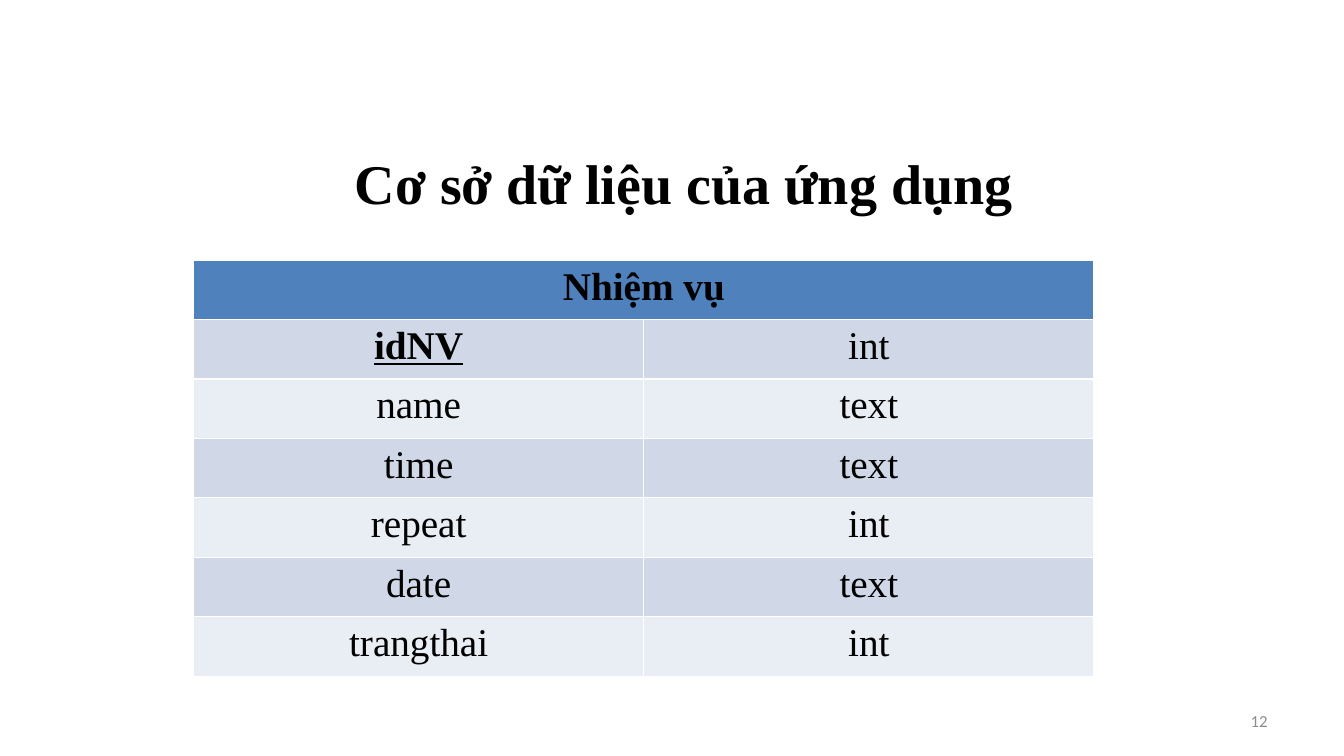
from pptx import Presentation
from pptx.dml.color import RGBColor
from pptx.enum.text import MSO_ANCHOR as Anchor, PP_ALIGN as Align
from pptx.util import Pt

PX = 9144
BLACK = RGBColor(0x00, 0x00, 0x00)
GRAY = RGBColor(0x8C, 0x8C, 0x8C)
BLUE = RGBColor(0x4F, 0x81, 0xBD)
BANDS = (RGBColor(0xD0, 0xD8, 0xE8), RGBColor(0xE9, 0xED, 0xF4))
SERIF = "Times New Roman"

TABLE_NAME = "Nhiệm vụ"
KEY = "idNV"
FIELDS = (
    (KEY, "int"),
    ("name", "text"),
    ("time", "text"),
    ("repeat", "int"),
    ("date", "text"),
    ("trangthai", "int"),
)


def scale(box):
    """Turn a box in px into EMU."""
    return [length * PX for length in box]


def write(frame, text, size, align, name=SERIF, color=BLACK, bold=False):
    """Put one styled paragraph in a text frame."""
    para = frame.paragraphs[0]
    para.text = text
    para.alignment = align
    font = para.font
    font.name, font.size, font.bold = name, Pt(size), bold
    font.color.rgb = color
    return para


def add_title(page, box):
    """Write the heading of the slide."""
    frame = page.shapes.add_textbox(*scale(box)).text_frame
    frame.word_wrap = False
    write(frame, "Cơ sở dữ liệu của ứng dụng", 40, Align.LEFT, bold=True)


def fill_cell(cell, text, color, bold=False):
    """Fill a table cell and write its centred text."""
    cell.fill.solid()
    cell.fill.fore_color.rgb = color
    return write(cell.text_frame, text, 28, Align.CENTER, bold=bold)


def add_field_table(page, box):
    """List the fields and types under a merged header."""
    count = len(FIELDS) + 1
    table = page.shapes.add_table(count, 2, *scale(box)).table
    table.cell(0, 0).merge(table.cell(0, 1))
    fill_cell(table.cell(0, 0), TABLE_NAME, BLUE, bold=True)
    for row, field in enumerate(FIELDS, 1):
        for column, text in enumerate(field):
            is_key = text == KEY
            para = fill_cell(table.cell(row, column), text, BANDS[(row - 1) % 2], is_key)
            para.font.underline = is_key


def add_page_number(page, box):
    """Write the page number in the corner."""
    frame = page.shapes.add_textbox(*scale(box)).text_frame
    frame.word_wrap = True
    frame.vertical_anchor = Anchor.MIDDLE
    write(frame, "12", 12, Align.RIGHT, "Calibri", GRAY)


def main():
    """Build the slide and save the deck."""
    deck = Presentation()
    deck.slide_width, deck.slide_height = scale((1333, 750))
    page = deck.slides.add_slide(deck.slide_layouts[6])
    add_page_number(page, (956, 695, 311, 40))
    add_field_table(page, (192, 258, 893, 413))
    add_title(page, (342, 142, 680, 77))
    deck.save("out.pptx")


if __name__ == "__main__":
    main()
